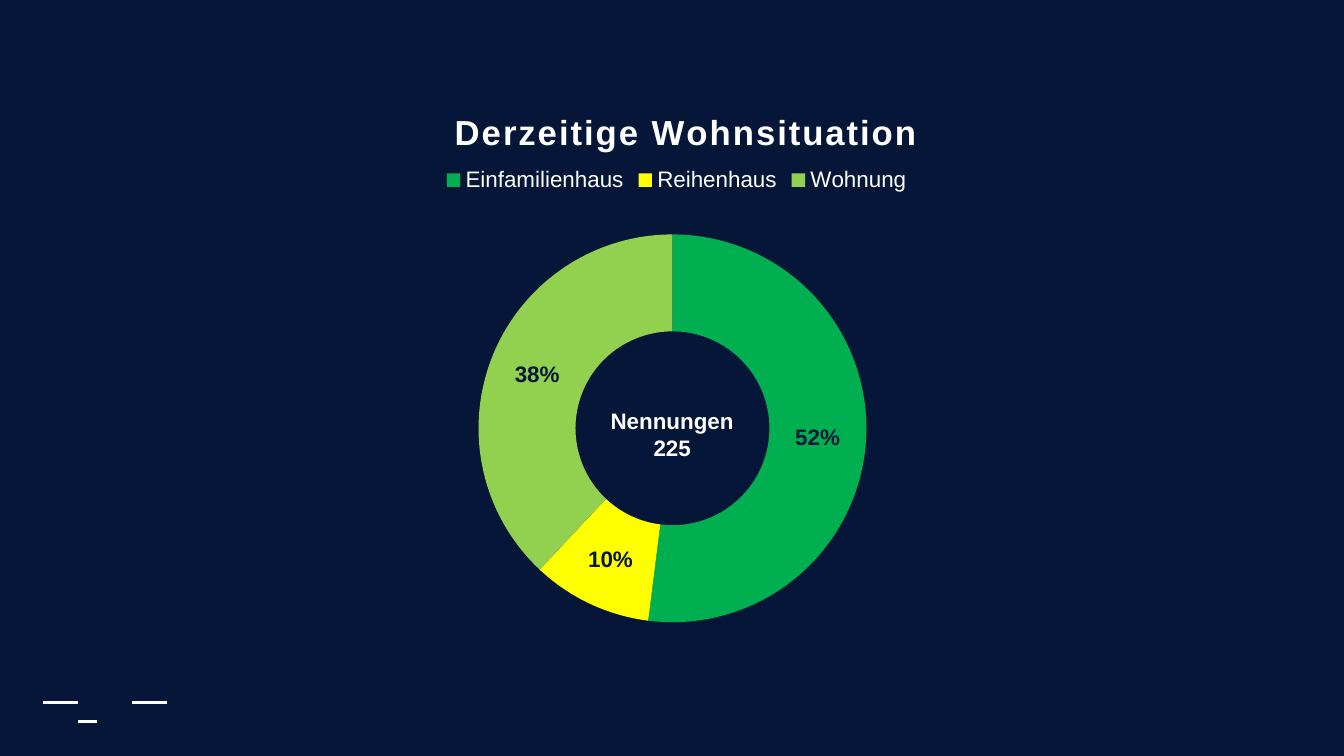
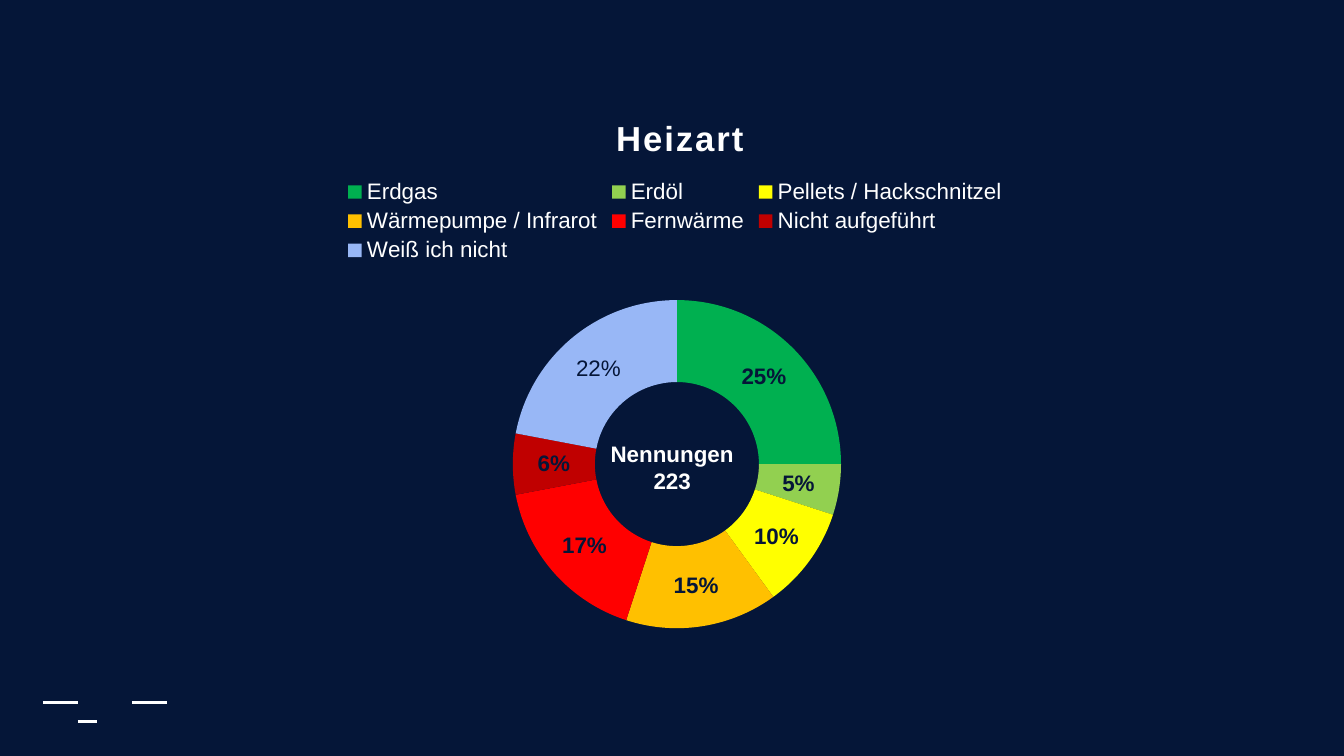
from dataclasses import dataclass

from lxml.etree import SubElement
from pptx import Presentation
from pptx.chart.data import CategoryChartData
from pptx.dml.color import RGBColor
from pptx.enum.chart import XL_CHART_TYPE, XL_LEGEND_POSITION
from pptx.enum.shapes import MSO_CONNECTOR
from pptx.enum.text import MSO_AUTO_SIZE, PP_ALIGN
from pptx.oxml import parse_xml
from pptx.oxml.ns import nsdecls, qn
from pptx.util import Cm, Pt


@dataclass(frozen=True)
class Theme:
    font: str = "Arial"
    navy: str = "051638"
    white: str = "FFFFFF"
    green: str = "00B050"
    lime: str = "92D050"
    yellow: str = "FFFF00"
    amber: str = "FFC000"
    red: str = "FF0000"
    crimson: str = "C00000"
    sky: str = "98B7F6"
    title_size: float = 18.6
    body_size: float = 12
    chart_size: float = 10
    title_tracking: int = 100
    line_width: float = 1.5


THEME = Theme()
SLIDE_SIZE = (25.4, 14.29)
CHART_FRAME = (4.24, 1.5, 16.94, 11.28)
COUNT_LEFT, COUNT_WIDTH, COUNT_HEIGHT = 10.52, 4.37, 1.27
FOOTER_DASHES = [(0.81, 1.47, 13.28), (2.49, 3.15, 13.28), (1.47, 1.83, 13.64)]

SURVEYS = [
    {
        "title": "Derzeitige Wohnsituation",
        "answers": [
            ("Einfamilienhaus", 52, THEME.green),
            ("Reihenhaus", 10, THEME.yellow),
            ("Wohnung", 38, THEME.lime),
        ],
        "count": "225",
        "count_top": 7.57,
        "count_behind": True,
        "plain_labels": {},
        "title_at": (0.25, 0.04),
        "legend_at": (0.24, 0.14),
        "ring": (0.28, 0.26, 0.44, 0.65),
    },
    {
        "title": "Heizart",
        "answers": [
            ("Erdgas", 25, THEME.green),
            ("Erdöl", 5, THEME.lime),
            ("Pellets / Hackschnitzel", 10, THEME.yellow),
            ("Wärmepumpe / Infrarot", 15, THEME.amber),
            ("Fernwärme", 17, THEME.red),
            ("Nicht aufgeführt", 6, THEME.crimson),
            ("Weiß ich nicht", 22, THEME.sky),
        ],
        "count": "223",
        "count_top": 8.2,
        "count_behind": False,
        "plain_labels": {6: "22%"},
        "title_at": (0.43, 0.05),
        "legend_at": (0.13, 0.16),
        "ring": (0.32, 0.37, 0.37, 0.55),
    },
]


def rgb(code):
    return RGBColor.from_string(code)


def style_font(font, size, color, bold=False):
    font.name = THEME.font
    font.size = Pt(size)
    font.color.rgb = rgb(color)
    font.bold = bold


def set_layout(parent, index, fractions, inner=False):
    for old in parent.findall(qn("c:layout")):
        parent.remove(old)
    layout = parse_xml(f"<c:layout {nsdecls('c')}><c:manualLayout/></c:layout>")
    manual = layout[0]
    if inner:
        SubElement(manual, qn("c:layoutTarget"), val="inner")
    for mode in ("xMode", "yMode"):
        SubElement(manual, qn(f"c:{mode}"), val="edge")
    for side, fraction in zip("xywh", fractions):
        SubElement(manual, qn(f"c:{side}"), val=str(fraction))
    parent.insert(index, layout)


def add_footer_dashes(deck, page):
    group = page.shapes.add_group_shape()
    for start, end, height in FOOTER_DASHES:
        dash = group.shapes.add_connector(
            MSO_CONNECTOR.STRAIGHT, Cm(start), Cm(height), Cm(end), Cm(height)
        )
        dash.line.color.rgb = rgb(THEME.white)
        dash.line.width = Pt(THEME.line_width)
        SubElement(dash._element.spPr, qn("a:effectLst"))
    deck.slide_master.shapes._spTree.append(group._element)


def add_count(page, survey):
    box = page.shapes.add_textbox(
        Cm(COUNT_LEFT), Cm(survey["count_top"]), Cm(COUNT_WIDTH), Cm(COUNT_HEIGHT)
    )
    frame = box.text_frame
    frame.word_wrap = True
    frame.auto_size = MSO_AUTO_SIZE.SHAPE_TO_FIT_TEXT
    frame.text = "Nennungen\n" + survey["count"]
    for para in frame.paragraphs:
        para.alignment = PP_ALIGN.CENTER
        style_font(para.font, THEME.body_size, THEME.white, bold=True)


def add_chart_title(chart, survey):
    chart.has_title = True
    title = chart.chart_title
    title.text_frame.text = survey["title"]
    para = title.text_frame.paragraphs[0]
    style_font(para.font, THEME.title_size, THEME.white, bold=True)
    span = para.runs[0]
    span._r.get_or_add_rPr().set("spc", str(THEME.title_tracking))
    set_layout(title._element, 1, survey["title_at"])


def add_legend(chart, survey):
    chart.has_legend = True
    legend = chart.legend
    legend.position = XL_LEGEND_POSITION.TOP
    legend.include_in_layout = False
    style_font(legend.font, THEME.body_size, THEME.white)
    set_layout(legend._element, 1, survey["legend_at"])


def style_ring(chart, survey):
    plot = chart.plots[0]
    plot.vary_by_categories = True
    series = plot.series[0]
    for index, (_, _, color) in enumerate(survey["answers"]):
        slice_format = series.points[index].format
        slice_format.fill.solid()
        slice_format.fill.fore_color.rgb = rgb(color)
        slice_format.line.fill.background()

    labels = series.data_labels
    labels.show_percentage = True
    labels.show_value = False
    labels.number_format = "0%"
    labels.number_format_is_linked = False
    style_font(labels.font, THEME.body_size, THEME.navy, bold=True)
    for index, text in survey["plain_labels"].items():
        frame = series.points[index].data_label.text_frame
        frame.text = text
        style_font(frame.paragraphs[0].runs[0].font, THEME.body_size, THEME.navy)
    set_layout(chart._chartSpace.chart.plotArea, 0, survey["ring"], inner=True)


def add_ring_chart(page, survey):
    data = CategoryChartData()
    data.categories = [name for name, _, _ in survey["answers"]]
    data.add_series("Series 1", [share for _, share, _ in survey["answers"]])
    chart = page.shapes.add_chart(
        XL_CHART_TYPE.DOUGHNUT, *map(Cm, CHART_FRAME), data
    ).chart
    style_font(chart.font, THEME.chart_size, THEME.white)
    chart._chartSpace.chart.addnext(
        parse_xml(
            f"<c:spPr {nsdecls('c', 'a')}><a:noFill/>"
            "<a:ln><a:noFill/></a:ln></c:spPr>"
        )
    )
    add_chart_title(chart, survey)
    add_legend(chart, survey)
    style_ring(chart, survey)


def main():
    deck = Presentation()
    deck.slide_width, deck.slide_height = map(Cm, SLIDE_SIZE)
    background = deck.slide_master.background.fill
    background.solid()
    background.fore_color.rgb = rgb(THEME.navy)
    blank = deck.slide_layouts[6]
    for holder in list(blank.placeholders):
        holder._element.getparent().remove(holder._element)

    for number, survey in enumerate(SURVEYS):
        page = deck.slides.add_slide(blank)
        if number == 0:
            add_footer_dashes(deck, page)
        steps = [add_ring_chart, add_count]
        if survey["count_behind"]:
            steps.reverse()
        for step in steps:
            step(page, survey)
    deck.save("out.pptx")


if __name__ == "__main__":
    main()
